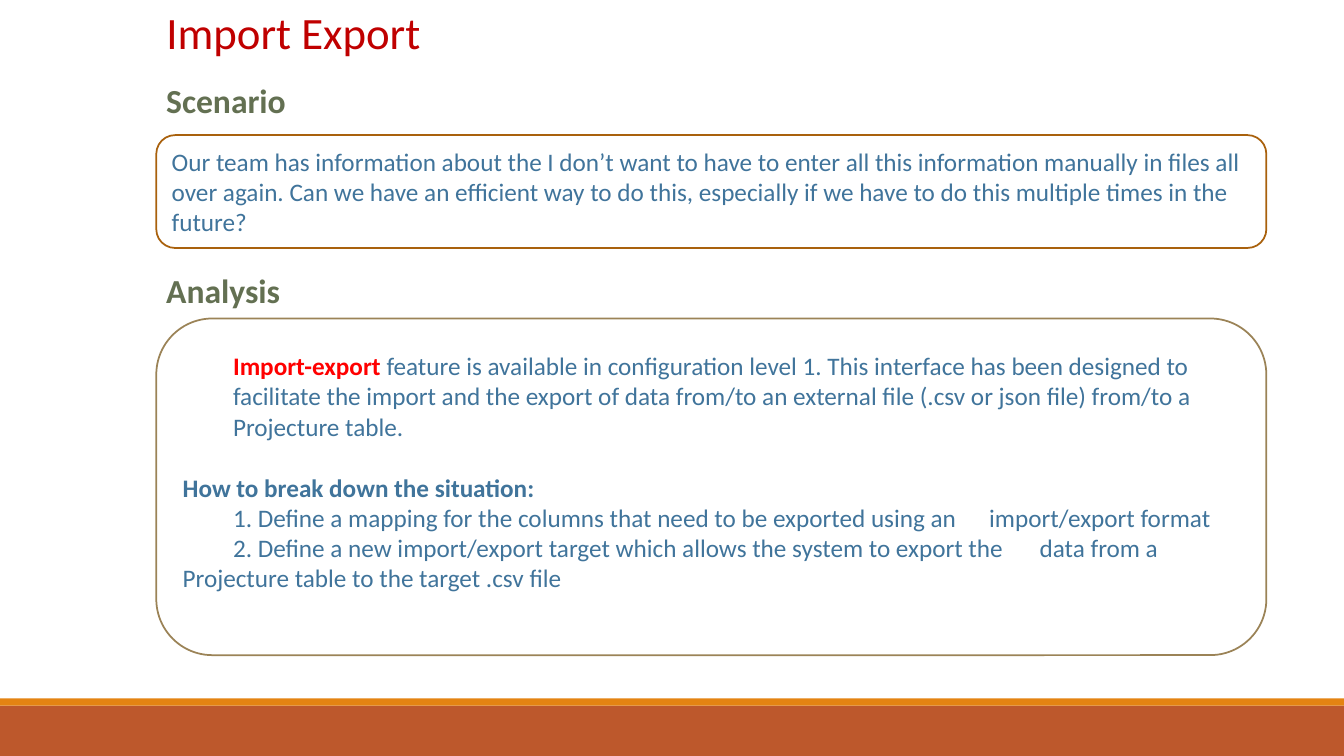
from lxml.etree import SubElement
from pptx import Presentation
from pptx.dml.color import RGBColor
from pptx.enum.shapes import MSO_SHAPE as Shape
from pptx.enum.text import MSO_ANCHOR as Anchor, PP_ALIGN as Align
from pptx.oxml.ns import qn
from pptx.util import Inches, Pt

LEFT, PANEL_WIDTH = 1.55, 11.01
RED, GREEN, BLUE = "C00000", "637052", "40749B"


def color(value):
    return RGBColor.from_string(value)


class Page:
    """Holds the text style and the current slide."""

    font = "Calibri"
    body_size = 18

    def __init__(self, deck):
        self.slide = deck.slides.add_slide(deck.slide_layouts[5])

    def format_span(self, span, size, hex_color, bold=False):
        span.font.name = self.font
        span.font.size = Pt(size)
        span.font.bold = bold
        span.font.color.rgb = color(hex_color)

    def fill_line(self, box, text, size, hex_color, bold=False):
        frame = box.text_frame
        frame.text = text
        frame.word_wrap = False
        frame.vertical_anchor = Anchor.TOP
        para = frame.paragraphs[0]
        para.alignment = Align.LEFT
        self.format_span(para.runs[0], size, hex_color, bold)

    def title(self, text, top, width, height):
        box = self.slide.shapes.title
        box.left, box.top = Inches(LEFT), Inches(top)
        box.width, box.height = Inches(width), Inches(height)
        self.fill_line(box, text, 32, RED)

    def heading(self, text, top, width):
        box = self.slide.shapes.add_textbox(
            Inches(LEFT), Inches(top), Inches(width), Inches(0.5))
        self.fill_line(box, text, 24, GREEN, True)

    def shape(self, kind, left, top, width, height, fill):
        shape = self.slide.shapes.add_shape(
            kind, Inches(left), Inches(top), Inches(width), Inches(height))
        shape.shadow.inherit = False
        shape.fill.solid()
        shape.fill.fore_color.rgb = color(fill)
        shape.line.fill.background()
        return shape

    def panel(self, top, height, line):
        panel = self.shape(
            Shape.ROUNDED_RECTANGLE, LEFT, top, PANEL_WIDTH, height, "FFFFFF")
        panel.line.color.rgb = color(line)
        panel.line.width = Pt(1.25)
        panel.text_frame.word_wrap = True
        panel.text_frame.vertical_anchor = Anchor.MIDDLE
        return panel.text_frame

    def paragraph(self, para, spans, margin=0, indent=0, tab=None, before=0):
        para.alignment = Align.LEFT
        para.space_before = Pt(before)
        properties = para._p.get_or_add_pPr()
        properties.set("marL", str(Inches(margin)))
        properties.set("indent", str(Inches(indent)))
        if tab:
            tabs = SubElement(properties, qn("a:tabLst"))
            SubElement(tabs, qn("a:tab"), pos=str(Inches(tab)), algn="l")
        for text, hex_color, bold in spans:
            span = para.add_run()
            span.text = text
            self.format_span(span, self.body_size, hex_color, bold)


def main():
    deck = Presentation()
    deck.slide_width, deck.slide_height = Inches(13.33), Inches(7.5)
    page = Page(deck)

    page.shape(Shape.RECTANGLE, 0, 7, 13.33, 0.5, "BD582C")
    page.shape(Shape.RECTANGLE, 0, 6.93, 13.33, 0.07, "E48312")
    page.title("Import Export", 0, 2.85, 0.64)

    page.heading("Scenario", 0.74, 1.4)
    scenario = page.panel(1.34, 1.12, "A9610D")
    page.paragraph(scenario.paragraphs[0], [(
        "Our team has information about the I don’t want to have to enter all "
        "this information manually in files all over again. Can we have an "
        "efficient way to do this, especially if we have to do this multiple "
        "times in the future?", BLUE, False)])

    page.heading("Analysis", 2.63, 1.34)
    analysis = page.panel(3.16, 3.34, "9B8357")
    analysis.margin_bottom = Inches(0.35)
    page.paragraph(analysis.paragraphs[0], [
        ("Import-export ", "FF0000", True),
        ("feature is available in configuration level 1. This interface has "
         "been designed to facilitate the import and the export of data from/to "
         "an external file (.csv or json file) from/to a Projecture table.",
         BLUE, False)], margin=0.5)
    page.paragraph(analysis.add_paragraph(), [
        ("How to break down the situation:", BLUE, True)], before=22)
    steps = [
        ("1. Define a mapping for the columns that need to be exported using an "
         "\timport/export format", 8),
        ("2. Define a new import/export target which allows the system to export "
         "the \tdata from a Projecture table to the target .csv file", 8.5),
    ]
    for text, tab in steps:
        page.paragraph(analysis.add_paragraph(), [(text, BLUE, False)],
                       indent=0.5, tab=tab)

    deck.save("out.pptx")


if __name__ == "__main__":
    main()
